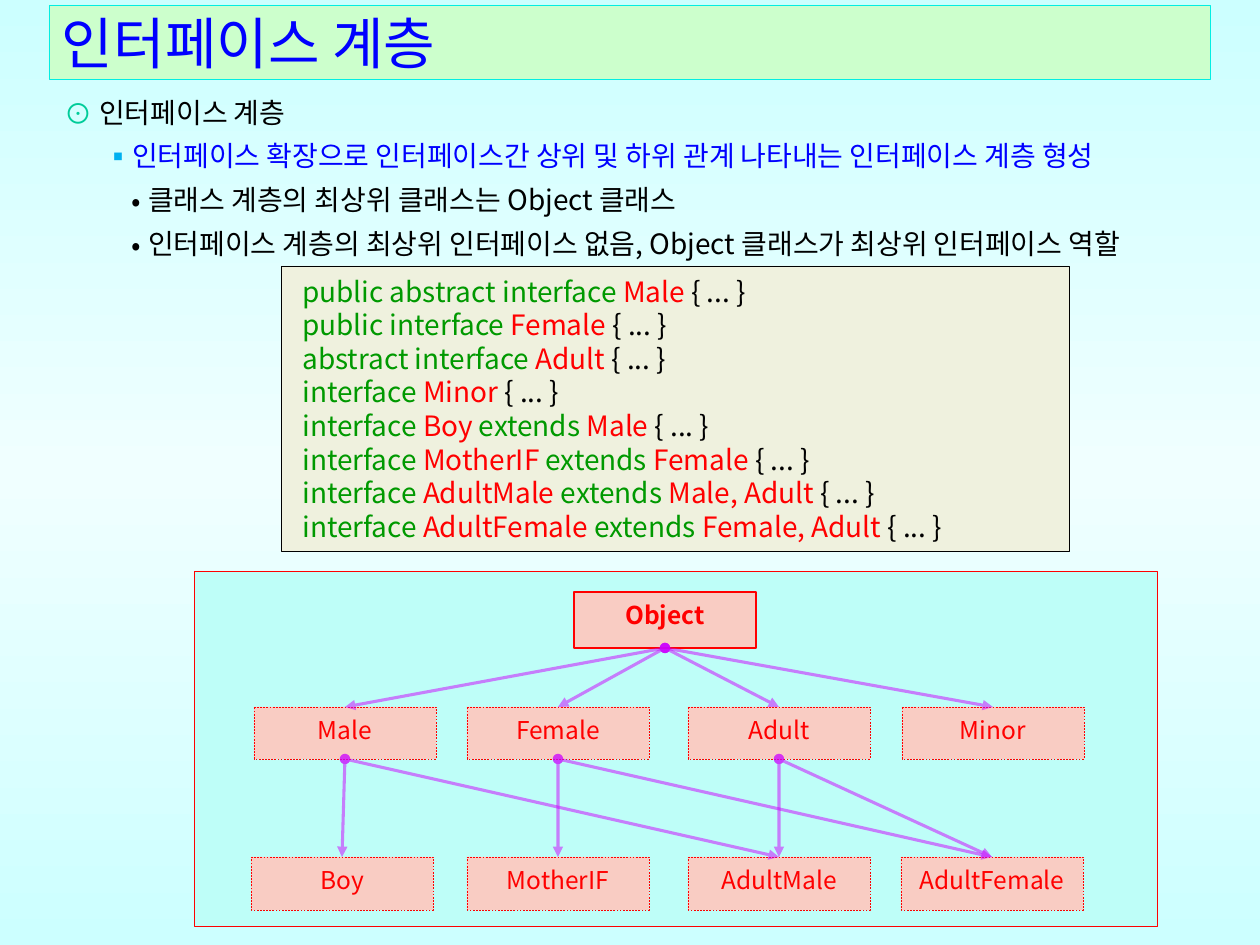
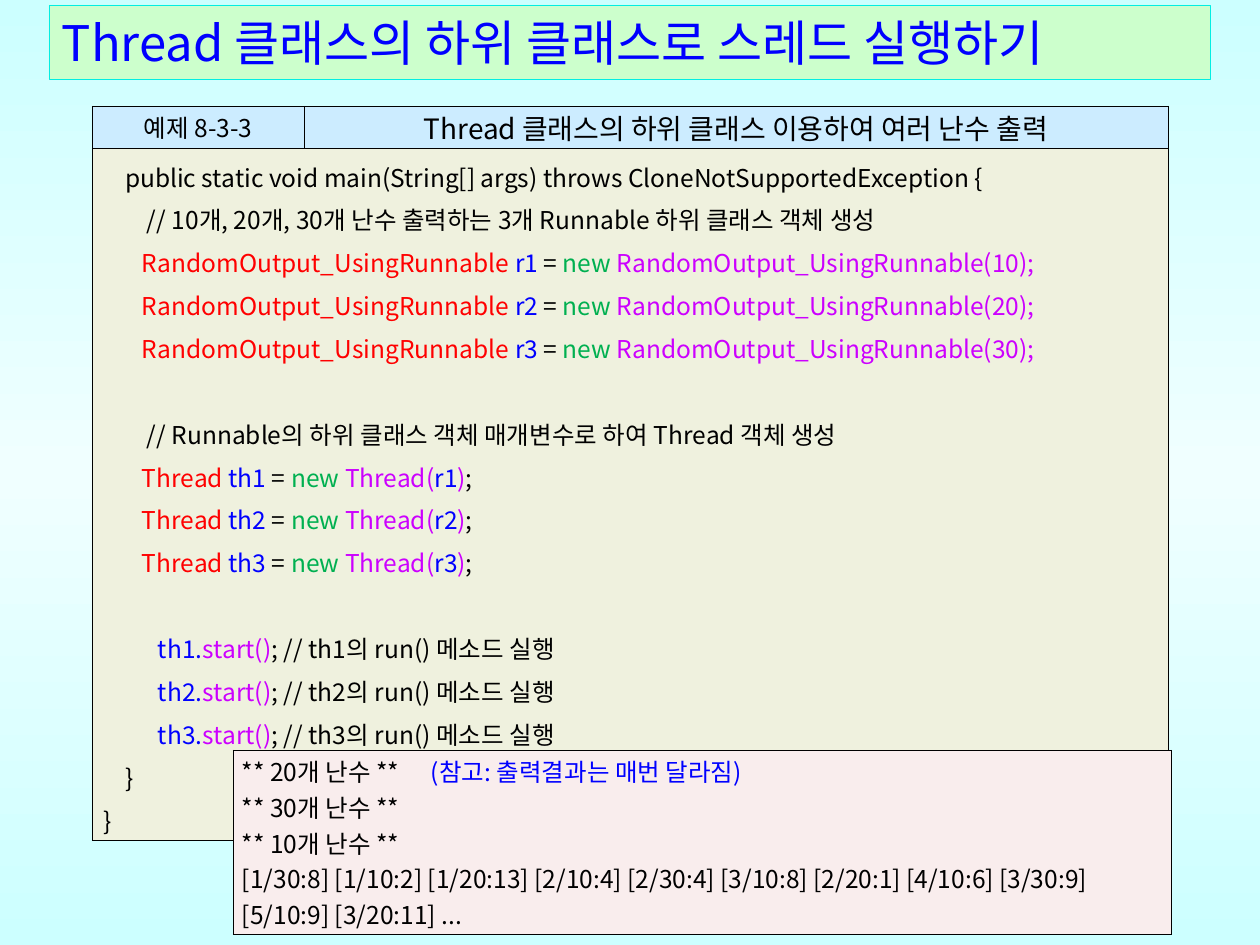
import dataclasses

import lxml.etree
import pptx
import pptx.dml.color
import pptx.enum.dml
import pptx.enum.shapes
import pptx.enum.text
import pptx.oxml.ns
import pptx.util

PIXELS_PER_INCH = 126
FONT = "Noto Sans CJK KR"
COLORS = {
    "black": "000000", "blue": "0000FF", "red": "FF0000", "keyword": "009900",
    "new": "00B050", "violet": "CC00FF", "bullet": "00CC99", "square": "00B0F0",
    "sky": "CCFFFF", "sky_light": "F0FFFF", "title_fill": "CCFFCC",
    "title_line": "03EDE2", "code": "EFF1DE", "panel": "BEFEF8",
    "node": "F9CCC3", "header": "CCECFF", "output": "F9EDED",
}
TITLE_BOX = (49, 5, 1161, 74)
SHAPES = pptx.enum.shapes.MSO_SHAPE
MIDDLE = pptx.enum.text.MSO_ANCHOR.MIDDLE
CENTER = pptx.enum.text.PP_ALIGN.CENTER
qn = pptx.oxml.ns.qn


@dataclasses.dataclass
class Line:
    """One paragraph: (text, colour) runs; lengths in pixels, gap in points."""
    runs: list
    indent: int = 0
    hanging: int = 0
    bullet: tuple = ()
    tabs: tuple = ()
    gap: float = 0


def px(length):
    """Turn pixels into EMU."""
    return pptx.util.Emu(round(length * 914400 / PIXELS_PER_INCH))


def rgb(name):
    """Look up a colour by name."""
    return pptx.dml.color.RGBColor.from_string(COLORS[name])


def add_xml(parent, tag, **attributes):
    """Append a drawing element to a parent."""
    return lxml.etree.SubElement(parent, qn("a:" + tag), attributes)


def add_color(parent, name):
    """Append an RGB colour element."""
    return add_xml(parent, "srgbClr", val=COLORS[name])


def set_margins(target, left, top, right, bottom):
    """Set the inner margins of a text frame or table cell."""
    target.margin_left, target.margin_top = px(left), px(top)
    target.margin_right, target.margin_bottom = px(right), px(bottom)


def write(text_frame, lines, size, align=pptx.enum.text.PP_ALIGN.LEFT, spacing=1.0, bold=False):
    """Fill a text frame with formatted lines."""
    text_frame.word_wrap = True
    for number, line in enumerate(lines):
        paragraph = text_frame.add_paragraph() if number else text_frame.paragraphs[0]
        paragraph.alignment = align
        paragraph.line_spacing = spacing
        paragraph.space_before = pptx.util.Pt(line.gap)
        properties = paragraph._p.get_or_add_pPr()
        properties.set("marL", str(px(line.indent)))
        properties.set("indent", str(px(-line.hanging)))
        if line.bullet:
            character, color = line.bullet
            add_color(add_xml(properties, "buClr"), color)
            add_xml(properties, "buFont", typeface=FONT)
            add_xml(properties, "buChar", char=character)
        if line.tabs:
            tab_list = add_xml(properties, "tabLst")
            for tab in line.tabs:
                add_xml(tab_list, "tab", pos=str(px(tab)), algn="l")
        for text, color in line.runs:
            run = paragraph.add_run()
            run.text = text
            run.font.size = pptx.util.Pt(size)
            run.font.bold = bold
            run.font.color.rgb = rgb(color)
            run.font.name = FONT
            add_xml(run._r.get_or_add_rPr(), "ea", typeface=FONT)


def add_box(slide, box, fill, line, width=0.25, kind=SHAPES.RECTANGLE):
    """Add a filled, outlined shape."""
    shape = slide.shapes.add_shape(kind, *map(px, box))
    shape.shadow.inherit = False
    shape.fill.solid()
    shape.fill.fore_color.rgb = rgb(fill)
    shape.line.color.rgb = rgb(line)
    shape.line.width = pptx.util.Pt(width)
    return shape


def add_slide(presentation, title, size):
    """Add a slide with the shared gradient background and title band."""
    slide = presentation.slides.add_slide(presentation.slide_layouts[6])
    fill = slide.background.fill
    fill.gradient()
    fill.gradient_angle = 90
    stops = next(slide.element.iter(qn("a:gsLst")))
    for stop in list(stops):
        stops.remove(stop)
    for position, color in ((0, "sky"), (50000, "sky_light"), (100000, "sky")):
        add_color(add_xml(stops, "gs", pos=str(position)), color)
    band = add_box(slide, TITLE_BOX, "title_fill", "title_line")
    band.text_frame.vertical_anchor = MIDDLE
    set_margins(band.text_frame, 13, 6, 13, 6)
    write(band.text_frame, [Line([(title, "blue")])], size)
    return slide


def add_outline(slide, box):
    """Add the bulleted outline."""
    items = [
        ("⊙", "bullet", 35, 35, "black", "인터페이스 계층"),
        ("▪", "square", 67, 27, "blue",
         "인터페이스 확장으로 인터페이스간 상위 및 하위 관계 나타내는 인터페이스 계층 형성"),
        ("•", "black", 84, 17, "black", "클래스 계층의 최상위 클래스는 Object 클래스"),
        ("•", "black", 84, 17, "black",
         "인터페이스 계층의 최상위 인터페이스 없음, Object 클래스가 최상위 인터페이스 역할"),
    ]
    lines = [Line([(text, color)], indent, hanging, (mark, mark_color))
             for mark, mark_color, indent, hanging, color, text in items]
    write(slide.shapes.add_textbox(*map(px, box)).text_frame, lines, 16, spacing=1.3)


def add_declarations(slide, box):
    """Add the box of interface declarations."""
    declarations = [
        ("public abstract interface", "Male", ""),
        ("public interface", "Female", ""),
        ("abstract interface", "Adult", ""),
        ("interface", "Minor", ""),
        ("interface", "Boy", "Male"),
        ("interface", "MotherIF", "Female"),
        ("interface", "AdultMale", "Male, Adult"),
        ("interface", "AdultFemale", "Female, Adult"),
    ]
    lines = []
    for keywords, name, parents in declarations:
        runs = [(keywords + " ", "keyword"), (name + " ", "red")]
        if parents:
            runs += [("extends ", "keyword"), (parents + " ", "red")]
        lines.append(Line(runs + [("{ ... }", "black")], indent=9))
    shape = add_box(slide, box, "code", "black")
    shape.text_frame.vertical_anchor = MIDDLE
    write(shape.text_frame, lines, 16)


def add_arrow(slide, parent, child):
    """Connect the bottom of a parent node to the top of a child node."""
    arrow = slide.shapes.add_connector(pptx.enum.shapes.MSO_CONNECTOR.STRAIGHT, 0, 0, 0, 0)
    arrow.begin_connect(parent, 2)
    arrow.end_connect(child, 0)
    arrow.line.color.rgb = rgb("violet")
    arrow.line.width = pptx.util.Pt(1.75)
    line = arrow.line._get_or_add_ln()
    add_xml(next(line.iter(qn("a:srgbClr"))), "alpha", val="50000")
    add_xml(line, "headEnd", type="oval")
    add_xml(line, "tailEnd", type="triangle")
    add_xml(arrow._element.spPr, "effectLst")


def add_hierarchy(slide, box):
    """Add the interface tree inside its panel."""
    left, top = box[:2]
    add_box(slide, box, "panel", "red")
    rows = [
        (21, 56, {"Object": 380}),
        (136, 52, {"Male": 60, "Female": 273, "Adult": 494, "Minor": 708}),
        (286, 53, {"Boy": 57, "MotherIF": 273, "AdultMale": 494, "AdultFemale": 707}),
    ]
    children = {
        "Object": ("Male", "Female", "Adult", "Minor"),
        "Male": ("Boy", "AdultMale"),
        "Female": ("MotherIF", "AdultFemale"),
        "Adult": ("AdultMale", "AdultFemale"),
    }
    nodes = {}
    for row_top, height, columns in rows:
        for name, column in columns.items():
            root = name == "Object"
            node = add_box(slide, (left + column, top + row_top, 182, height), "node", "red",
                           1 if root else 0.25, SHAPES.ROUNDED_RECTANGLE)
            node.adjustments[0] = 0
            if not root:
                node.line.dash_style = pptx.enum.dml.MSO_LINE.DASH
            node.text_frame.vertical_anchor = pptx.enum.text.MSO_ANCHOR.TOP
            set_margins(node.text_frame, 13, 8, 13, 6)
            write(node.text_frame, [Line([(name, "red")])], 14, CENTER, bold=root)
            nodes[name] = node
    for parent, names in children.items():
        for name in names:
            add_arrow(slide, nodes[parent], nodes[name])


def add_plain_table(slide, left, top, widths, heights):
    """Add an unbanded table with the given column widths and row heights."""
    table = slide.shapes.add_table(len(heights), len(widths), px(left), px(top),
                                   px(sum(widths)), px(sum(heights))).table
    table.first_row = table.horz_banding = False
    for column, width in zip(table.columns, widths):
        column.width = px(width)
    for row, height in zip(table.rows, heights):
        row.height = px(height)
    return table


def style_cell(cell, fill, margins):
    """Give a cell its fill, margins and thin black borders."""
    cell.vertical_anchor = MIDDLE
    set_margins(cell, *margins)
    properties = cell._tc.get_or_add_tcPr()
    for side in "LRTB":
        border = add_xml(properties, "ln" + side, w=str(pptx.util.Pt(0.28)))
        add_color(add_xml(border, "solidFill"), "black")
    cell.fill.solid()
    cell.fill.fore_color.rgb = rgb(fill)


def program_lines():
    """Return the lines of the example program."""
    outer, inner, comment = 30, 47, 52
    blank_line = 24.5
    lines = [
        Line([("public static void main(String[] args) throws CloneNotSupportedException {",
               "black")], outer),
        Line([("// 10개, 20개, 30개 난수 출력하는 3개 Runnable 하위 클래스 객체 생성", "black")],
             comment),
    ]
    for number in (1, 2, 3):
        lines.append(Line([
            ("RandomOutput_UsingRunnable ", "red"), (f"r{number}", "blue"), (" = ", "black"),
            ("new ", "new"), (f"RandomOutput_UsingRunnable({number}0);", "violet")], inner))
    lines.append(Line([("// Runnable의 하위 클래스 객체 매개변수로 하여 Thread 객체 생성", "black")],
                      comment, gap=blank_line))
    for number in (1, 2, 3):
        lines.append(Line([
            ("Thread ", "red"), (f"th{number}", "blue"), (" = ", "black"), ("new ", "new"),
            ("Thread(", "violet"), (f"r{number}", "blue"), (")", "violet"), (";", "black")],
            inner))
    for number in (1, 2, 3):
        lines.append(Line([
            (f"\tth{number}.", "blue"), ("start()", "violet"),
            (f";\t// th{number}의 run() 메소드 실행", "black")],
            tabs=(comment, 200), gap=blank_line if number == 1 else 0))
    return lines + [Line([("}", "black")], outer), Line([("}", "black")], 9)]


def add_example(slide, left, top):
    """Add the example table: a header row above the program."""
    table = add_plain_table(slide, left, top, (212, 864), (42, 638))
    headers = [("예제 8-3-3", 14), ("Thread 클래스의 하위 클래스 이용하여 여러 난수 출력", 16)]
    for column, (text, size) in enumerate(headers):
        cell = table.cell(0, column)
        style_cell(cell, "header", (4, 1, 4, 1))
        write(cell.text_frame, [Line([(text, "black")])], size, CENTER)
        style_cell(table.cell(1, column), "code", (3, 3, 3, 3))
    body = table.cell(1, 0)
    body.merge(table.cell(1, 1))
    write(body.text_frame, program_lines(), 14, spacing=1.2)


def add_output(slide, left, top):
    """Add the one-cell table of program output."""
    cell = add_plain_table(slide, left, top, (938,), (118,)).cell(0, 0)
    style_cell(cell, "output", (9, 3, 9, 3))
    lines = [Line([(f"** {count}개 난수 **", "black")]) for count in (20, 30, 10)]
    lines[0].runs.append(("\t(참고: 출력결과는 매번 달라짐)", "blue"))
    lines[0].tabs = (461,)
    lines.append(Line([("[1/30:8] [1/10:2] [1/20:13] [2/10:4] [2/30:4] [3/10:8] [2/20:1] "
                        "[4/10:6] [3/30:9] [5/10:9] [3/20:11] ...", "black")]))
    write(cell.text_frame, lines, 14)


def main():
    """Build both slides and save the presentation."""
    presentation = pptx.Presentation()
    presentation.slide_width, presentation.slide_height = px(1260), px(945)

    slide = add_slide(presentation, "인터페이스 계층", 32)
    add_outline(slide, (52, 79, 1160, 189))
    add_hierarchy(slide, (194, 571, 963, 355))
    add_declarations(slide, (281, 266, 788, 285))

    slide = add_slide(presentation, "Thread 클래스의 하위 클래스로 스레드 실행하기", 28)
    add_example(slide, 92, 106)
    add_output(slide, 233, 750)

    presentation.save("out.pptx")


main()
